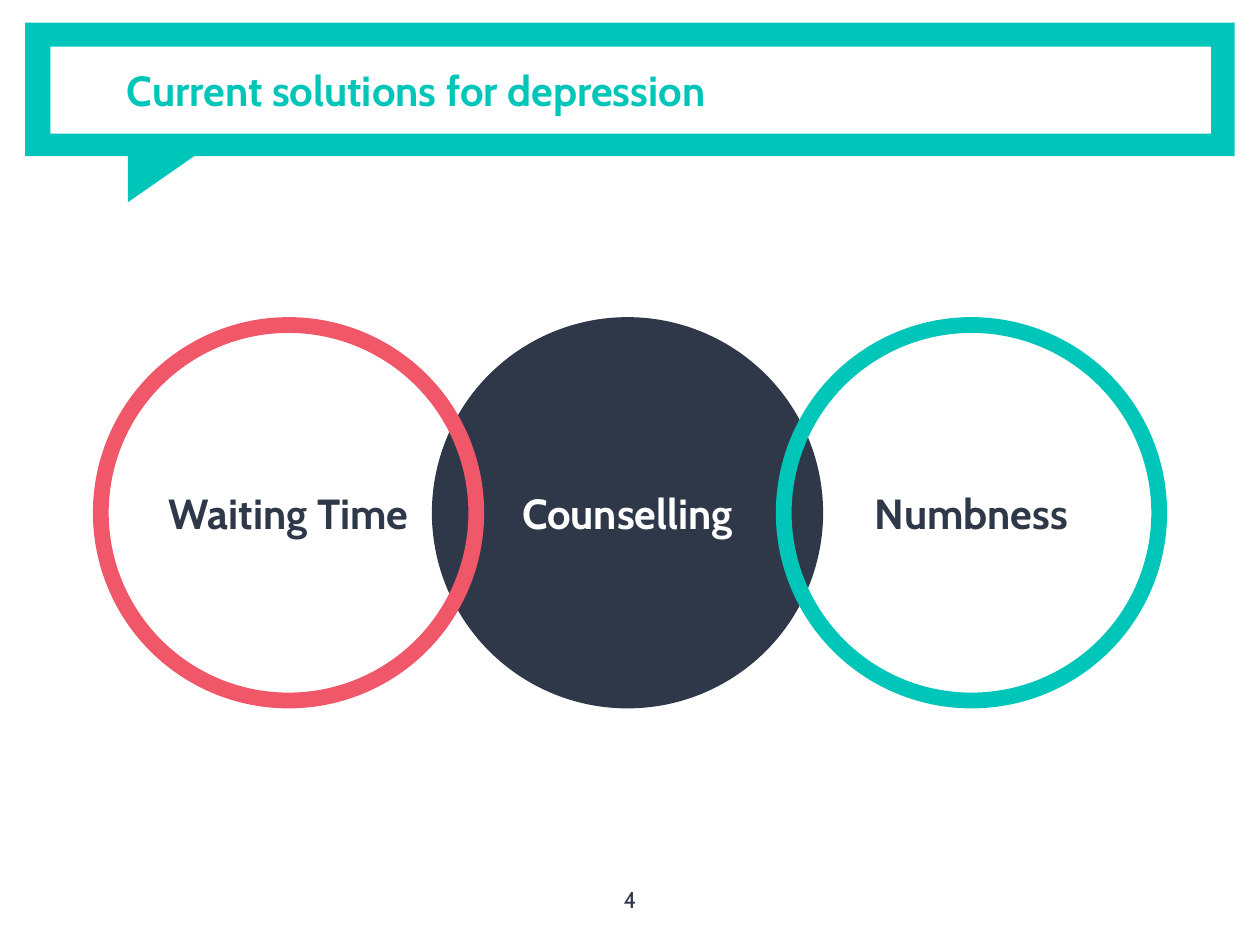
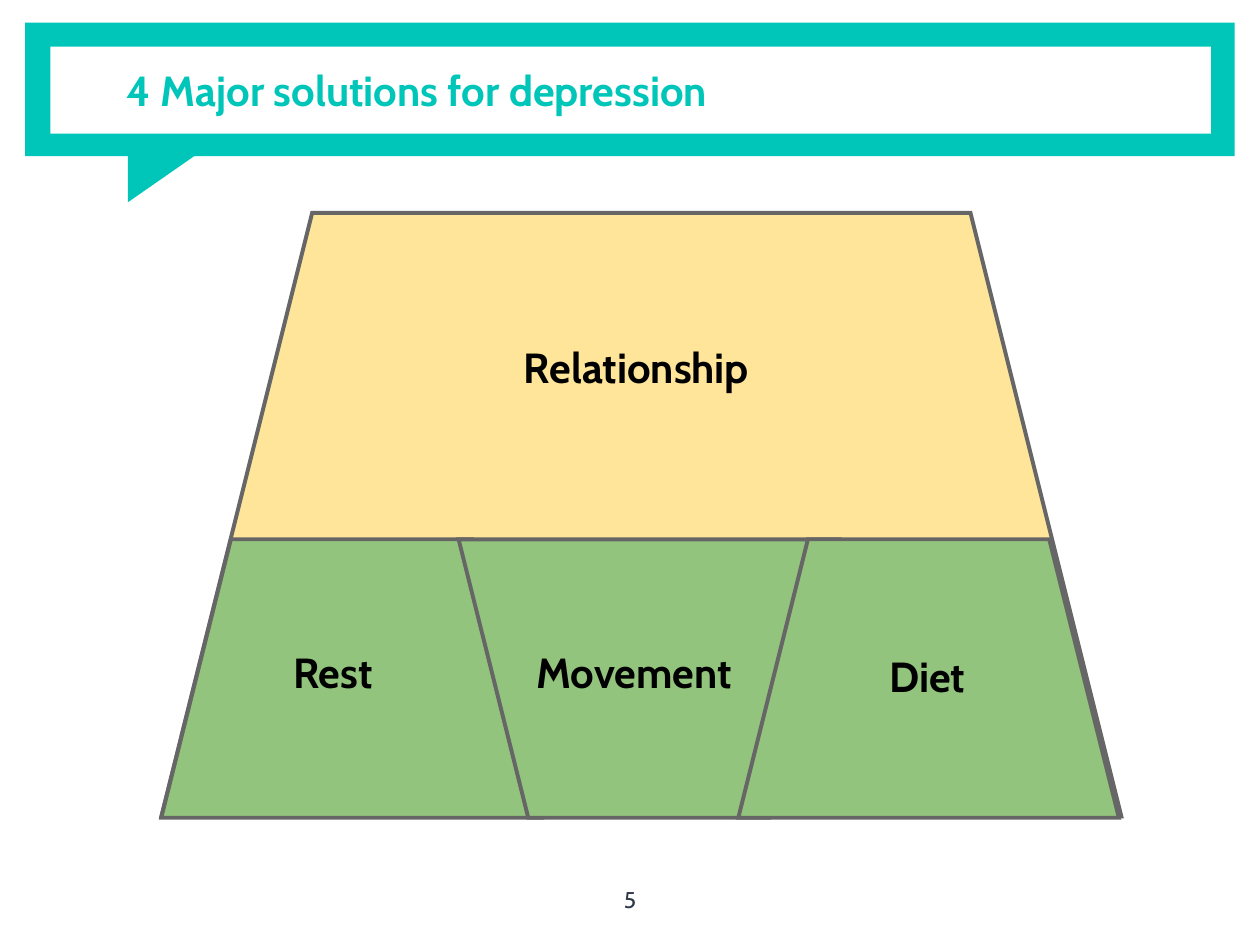
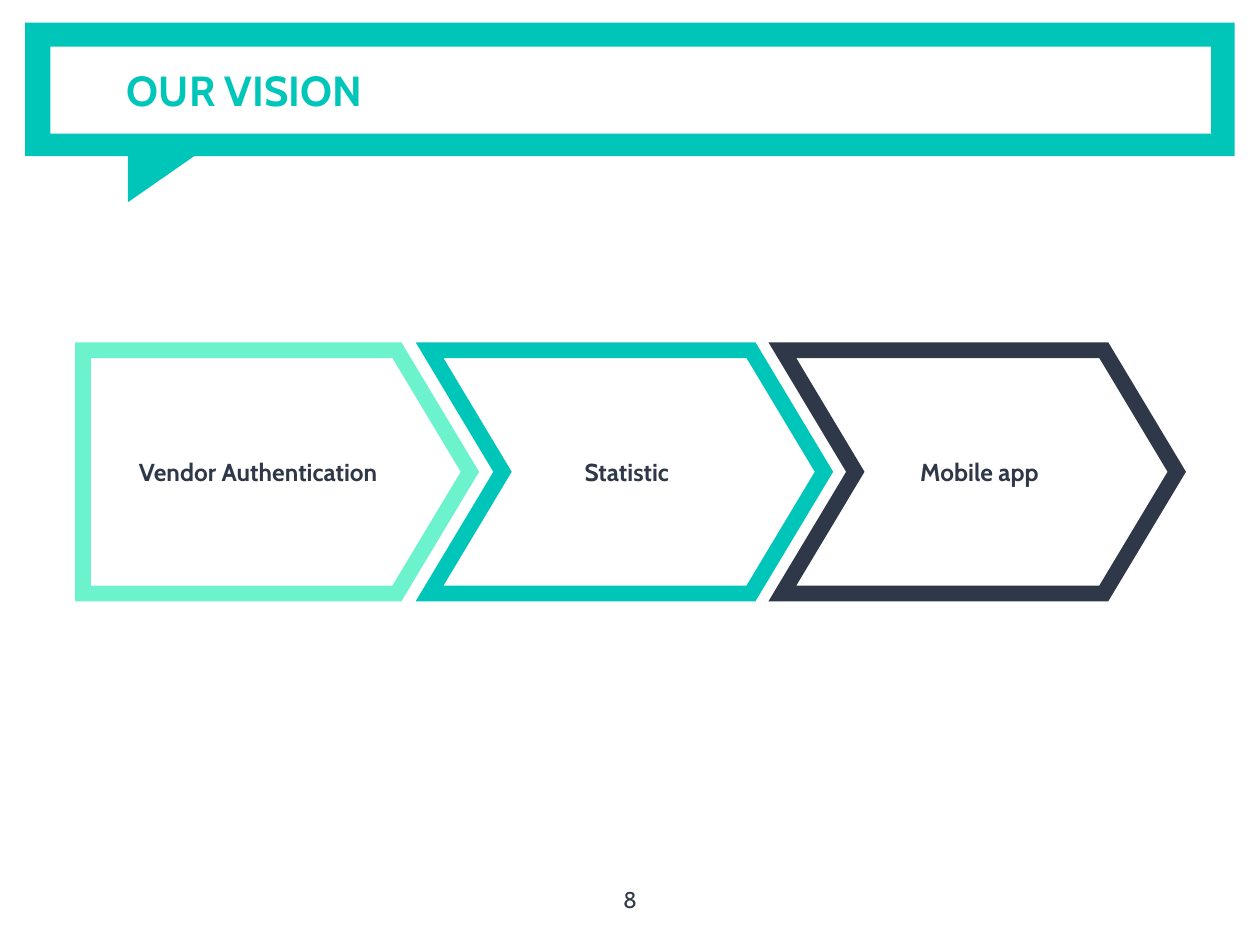
from dataclasses import dataclass

from lxml import etree
from pptx import Presentation
from pptx.dml.color import RGBColor
from pptx.enum.shapes import MSO_SHAPE
from pptx.enum.text import MSO_ANCHOR, PP_ALIGN
from pptx.oxml.ns import qn
from pptx.util import Inches, Pt

RECTANGLE = MSO_SHAPE.RECTANGLE
TRIANGLE = MSO_SHAPE.RIGHT_TRIANGLE
ELLIPSE = MSO_SHAPE.OVAL
TRAPEZOID = MSO_SHAPE.TRAPEZOID
PENTAGON = MSO_SHAPE.PENTAGON
CHEVRON = MSO_SHAPE.CHEVRON
LEFT, CENTER = PP_ALIGN.LEFT, PP_ALIGN.CENTER
TOP, MIDDLE = MSO_ANCHOR.TOP, MSO_ANCHOR.MIDDLE


@dataclass(frozen=True)
class Theme:
    """Hold the colours, font and sizes shared by all slides."""

    teal: str = "00C5B9"
    mint: str = "6CF3CE"
    navy: str = "2F3848"
    coral: str = "F05768"
    white: str = "FFFFFF"
    black: str = "000000"
    yellow: str = "FFE599"
    green: str = "93C47D"
    grey: str = "666666"
    font: str = "Cabin"
    heading: float = 24
    step: float = 14
    page: float = 13
    thick: float = 9
    thin: float = 2.25
    inset: float = 0.1


THEME = Theme()


def apply_format(target, values):
    """Set every named attribute on the target."""
    for name, value in values.items():
        setattr(target, name, value)


def write_text(shape, text, color, size=THEME.heading, bold=True, align=CENTER, anchor=MIDDLE):
    """Write one formatted paragraph into a shape."""
    frame = shape.text_frame
    margins = ("margin_left", "margin_top", "margin_right", "margin_bottom")
    apply_format(frame, dict.fromkeys(margins, Inches(THEME.inset)))
    apply_format(frame, {"word_wrap": True, "vertical_anchor": anchor})
    paragraph = frame.paragraphs[0]
    paragraph.alignment = align
    run = paragraph.add_run()
    run.text = text
    apply_format(run.font, {"name": THEME.font, "size": Pt(size), "bold": bold})
    run.font.color.rgb = RGBColor.from_string(color)


def add_label(slide, box, text, color, **style):
    """Add a text box with one paragraph."""
    shape = slide.shapes.add_textbox(*map(Inches, box))
    write_text(shape, text, color, **style)


def add_figure(slide, kind, box, fill=None, line=None, width=THEME.thick, rotation=0, adjustment=None):
    """Add a preset shape with optional fill and mitred outline."""
    shape = slide.shapes.add_shape(kind, *map(Inches, box))
    shape.shadow.inherit = False
    shape.rotation = rotation
    if adjustment is not None:
        shape.adjustments[0] = adjustment
    if fill:
        shape.fill.solid()
        shape.fill.fore_color.rgb = RGBColor.from_string(fill)
    else:
        shape.fill.background()
    if line:
        shape.line.color.rgb = RGBColor.from_string(line)
        shape.line.width = Pt(width)
        outline = shape.line._get_or_add_ln()
        etree.SubElement(outline, qn("a:miter"), lim="800000")
    else:
        shape.line.fill.background()
    return shape


def add_framed_slide(presentation, title, number):
    """Add a blank slide with the speech-bubble title and page number."""
    slide = presentation.slides.add_slide(presentation.slide_layouts[6])
    add_figure(slide, RECTANGLE, (0.2, 0.18, 9.6, 1.06), THEME.teal)
    add_figure(slide, TRIANGLE, (1.12, 1.02, 0.48, 0.69), THEME.teal, rotation=90)
    add_figure(slide, RECTANGLE, (0.4, 0.37, 9.21, 0.69), THEME.white)
    add_label(slide, (0.91, 0.18, 8.7, 1.06), title, THEME.teal, align=LEFT)
    add_label(slide, (4.7, 6.93, 0.6, 0.57), str(number), THEME.navy,
              size=THEME.page, bold=False, anchor=TOP)
    return slide


def build_current_solutions(presentation):
    """Build the three overlapping circles."""
    slide = add_framed_slide(presentation, "Current solutions for depression", 4)
    circles = (
        ("Counselling", 3.49, THEME.navy, THEME.navy, THEME.white),
        ("Waiting Time", 0.8, None, THEME.coral, THEME.navy),
        ("Numbness", 6.22, None, THEME.teal, THEME.navy),
    )
    for text, left, fill, line, color in circles:
        circle = add_figure(slide, ELLIPSE, (left, 2.58, 2.98, 2.98), fill, line)
        write_text(circle, text, color)


def build_major_solutions(presentation):
    """Build the divided trapezoid with its labels."""
    slide = add_framed_slide(presentation, "4 Major solutions for depression", 5)
    blocks = (
        ((1.28, 1.69, 7.62, 4.79), THEME.yellow, 0),
        ((1.28, 4.28, 3.02, 2.21), THEME.green, 0),
        ((3.64, 4.28, 3.02, 2.21), THEME.green, 180),
        ((5.86, 4.28, 3.02, 2.21), THEME.green, 0),
    )
    for box, fill, rotation in blocks:
        add_figure(slide, TRAPEZOID, box, fill, THEME.grey, THEME.thin, rotation, 0.25)
    labels = (
        ("Relationship", (4.06, 2.61, 2.89, 0.78)),
        ("Rest", (2.23, 5.03, 0.91, 0.69)),
        ("Movement", (4.16, 5.03, 1.99, 0.63)),
        ("Diet", (6.96, 5.06, 0.98, 0.57)),
    )
    for text, box in labels:
        add_label(slide, box, text, THEME.black, align=LEFT, anchor=TOP)


def build_vision(presentation):
    """Build the row of three process arrows."""
    slide = add_framed_slide(presentation, "OUR VISION", 8)
    steps = (
        ("Vendor Authentication", PENTAGON, 0.66, 3.07, THEME.mint),
        ("Statistic", CHEVRON, 3.41, 3.13, THEME.teal),
        ("Mobile app", CHEVRON, 6.21, 3.13, THEME.navy),
    )
    for text, kind, left, width, line in steps:
        arrow = add_figure(slide, kind, (left, 2.78, width, 1.93), line=line, adjustment=0.3)
        write_text(arrow, text, THEME.navy, size=THEME.step)


def main():
    """Build and save the presentation."""
    presentation = Presentation()
    apply_format(presentation, {"slide_width": Inches(10), "slide_height": Inches(7.5)})
    build_current_solutions(presentation)
    build_major_solutions(presentation)
    build_vision(presentation)
    presentation.save("out.pptx")


main()
